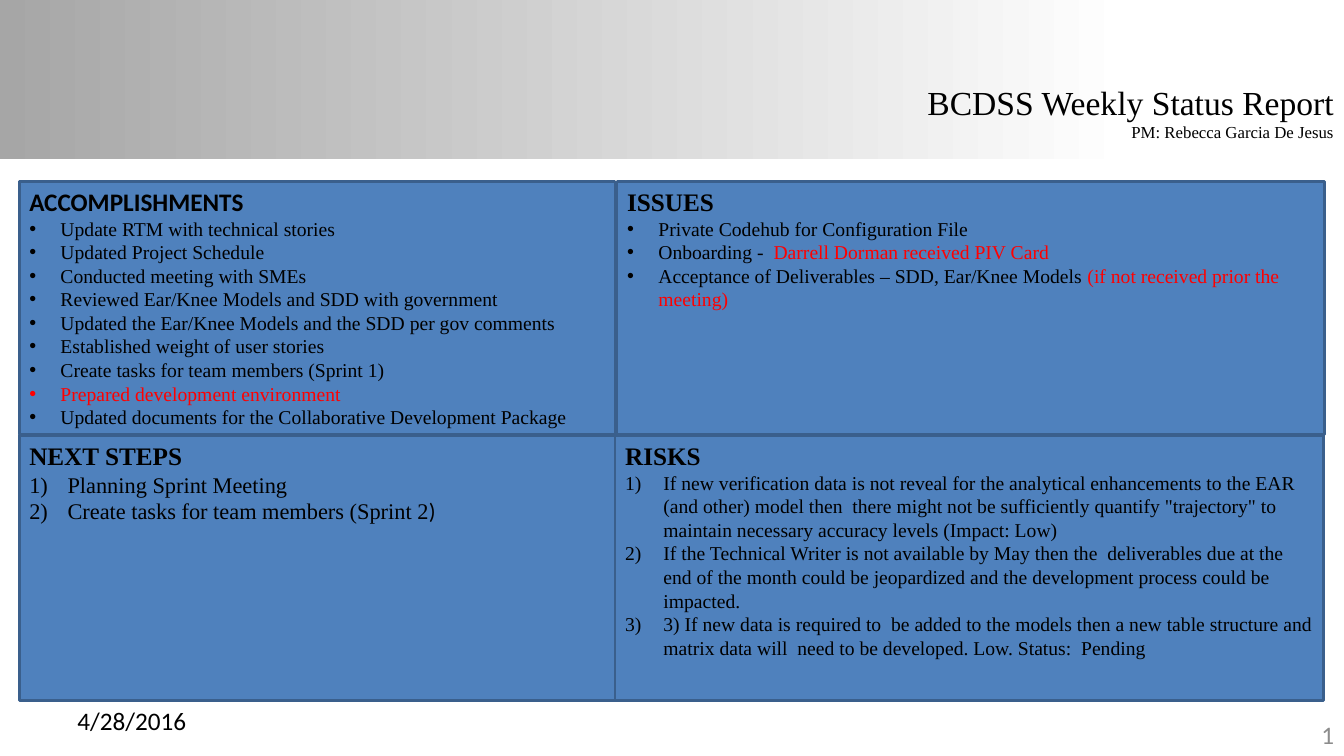
from dataclasses import dataclass

from lxml import etree
from pptx import Presentation
from pptx import util as u
from pptx.dml.color import RGBColor
from pptx.enum import shapes, text
from pptx.oxml import ns

COLORS = {
    "ink": "000000",
    "alert": "FF0000",
    "panel": "4F81BD",
    "border": "3A5F8C",
    "band_start": "A6A6A6",
    "band_end": "FFFFFF",
    "page_number": "8C8C8C",
}
SERIF, SANS = "Times New Roman", "Calibri"
BULLET = (("buFont", {"typeface": "Arial"}), ("buChar", {"char": "•"}))
NUMBER = (("buFont", {"typeface": "+mj-lt"}), ("buAutoNum", {"type": "arabicParenR"}))
PLAIN = (("buNone", {}),)


@dataclass(frozen=True)
class Span:
    text: str
    color: str = "ink"
    font: str = SERIF


@dataclass(frozen=True)
class Panel:
    placeholder: int
    box: tuple[float, float, float, float]
    heading: Span
    marker: tuple
    indent: float
    size: int
    items: tuple[tuple[Span, ...], ...]


def plain(*lines: str) -> tuple[tuple[Span, ...], ...]:
    return tuple((Span(line),) for line in lines)


PANELS = (
    Panel(1, (0.19, 1.8, 5.91, 2.51), Span("ACCOMPLISHMENTS", font=SANS), BULLET, 0.31, 14, (
        *plain(
            "Update RTM with technical stories",
            "Updated Project Schedule",
            "Conducted meeting with SMEs",
            "Reviewed Ear/Knee Models and SDD with government",
            "Updated the Ear/Knee Models and the SDD per gov comments",
            "Established weight of user stories",
            "Create tasks for team members (Sprint 1)",
        ),
        (Span("Prepared development environment", "alert"),),
        *plain("Updated documents for the Collaborative Development Package"),
    )),
    Panel(2, (0.19, 4.32, 5.91, 2.63), Span("NEXT STEPS"), NUMBER, 0.38, 16, (
        *plain("Planning Sprint Meeting"),
        (Span("Create tasks for team members (Sprint 2"), Span(")", font=SANS)),
    )),
    Panel(3, (6.12, 1.8, 7.02, 2.51), Span("ISSUES"), BULLET, 0.31, 14, (
        *plain("Private Codehub for Configuration File"),
        (Span("Onboarding -  "), Span("Darrell Dorman received PIV Card", "alert")),
        (Span("Acceptance of Deliverables – SDD, Ear/Knee Models "),
         Span("(if not received prior the meeting)", "alert")),
    )),
    Panel(4, (6.1, 4.32, 7.03, 2.63), Span("RISKS"), NUMBER, 0.38, 14, plain(
        "If new verification data is not reveal for the analytical enhancements to the EAR "
        "(and other) model then  there might not be sufficiently quantify \"trajectory\" to "
        "maintain necessary accuracy levels (Impact: Low)",
        "If the Technical Writer is not available by May then the  deliverables due at the "
        "end of the month could be jeopardized and the development process could be impacted.",
        "3) If new data is required to  be added to the models then a new table structure and "
        "matrix data will  need to be developed. Low. Status:  Pending",
    )),
)


def rgb(name: str) -> RGBColor:
    return RGBColor.from_string(COLORS[name])


def place(shape, box: tuple[float, float, float, float]) -> None:
    shape.left, shape.top, shape.width, shape.height = map(u.Inches, box)


def set_font(font, size: int, span: Span, bold: bool = False) -> None:
    font.size, font.name, font.bold = u.Pt(size), span.font, bold
    font.color.rgb = rgb(span.color)


def write(paragraph, spans: tuple[Span, ...], size: int, bold: bool = False,
          marker: tuple = PLAIN, indent: float = 0, align=text.PP_ALIGN.LEFT) -> None:
    """Fill a paragraph; only spans that differ from the base style get run fonts."""
    paragraph.alignment = align
    paragraph.space_before = u.Pt(0)
    properties = paragraph._p.get_or_add_pPr()
    properties.set("marL", str(u.Inches(indent)))
    properties.set("indent", str(-u.Inches(indent)))
    for tag, attributes in marker:
        etree.SubElement(properties, ns.qn(f"a:{tag}"), attributes)
    base = spans[0]
    set_font(paragraph.font, size, base, bold)
    for span in spans:
        run = paragraph.add_run()
        run.text = span.text
        if span.color != base.color:
            run.font.color.rgb = rgb(span.color)
        if span.font != base.font:
            run.font.name = span.font


def add_band(slide) -> None:
    band = slide.shapes.add_shape(shapes.MSO_SHAPE.RECTANGLE, 0, 0, u.Inches(13.33), u.Inches(1.58))
    band.shadow.inherit = False
    band.line.fill.background()
    band.fill.gradient()
    band.fill.gradient_angle = 0
    start, end = band.fill.gradient_stops
    start.color.rgb, start.position = rgb("band_start"), 0
    end.color.rgb, end.position = rgb("band_end"), 0.84
    slide.shapes.element.insert(2, band.element)  # behind the placeholders


def fill_title(title) -> None:
    place(title, (9.06, 0.76, 4.27, 0.71))
    frame = title.text_frame
    frame.word_wrap = False
    frame.auto_size = text.MSO_AUTO_SIZE.SHAPE_TO_FIT_TEXT
    frame.vertical_anchor = text.MSO_ANCHOR.TOP
    right = text.PP_ALIGN.RIGHT
    write(frame.paragraphs[0], (Span("BCDSS Weekly Status Report"),), 24, align=right)
    write(frame.add_paragraph(), (Span("PM: Rebecca Garcia De Jesus"),), 12, align=right)


def fill_panel(slide, panel: Panel) -> None:
    body = slide.placeholders[panel.placeholder]
    place(body, panel.box)
    body.fill.solid()
    body.fill.fore_color.rgb = rgb("panel")
    body.line.color.rgb = rgb("border")
    body.line.width = u.Pt(2)
    frame = body.text_frame
    frame.word_wrap = True
    frame.auto_size = text.MSO_AUTO_SIZE.NONE
    frame.vertical_anchor = text.MSO_ANCHOR.TOP
    write(frame.paragraphs[0], (panel.heading,), 18, bold=True)
    for item in panel.items:
        write(frame.add_paragraph(), item, panel.size, marker=panel.marker, indent=panel.indent)


def add_footer(slide, left: float, top: float, label: Span, align) -> None:
    footer = slide.shapes.add_textbox(*map(u.Inches, (left, top, 3.11, 0.4)))
    frame = footer.text_frame
    frame.word_wrap = True
    frame.vertical_anchor = text.MSO_ANCHOR.MIDDLE
    write(frame.paragraphs[0], (label,), 18, align=align)


def main() -> None:
    deck = Presentation()
    deck.slide_width, deck.slide_height = u.Inches(13.33), u.Inches(7.5)
    slide = deck.slides.add_slide(deck.slide_layouts.get_by_name("Comparison"))
    add_band(slide)
    fill_title(slide.shapes.title)
    for panel in PANELS:
        fill_panel(slide, panel)
    add_footer(slide, 0.67, 6.95, Span("4/28/2016", font=SANS), text.PP_ALIGN.LEFT)
    add_footer(slide, 10.22, 7.09, Span("1", "page_number", SANS), text.PP_ALIGN.RIGHT)
    deck.save("out.pptx")


if __name__ == "__main__":
    main()
